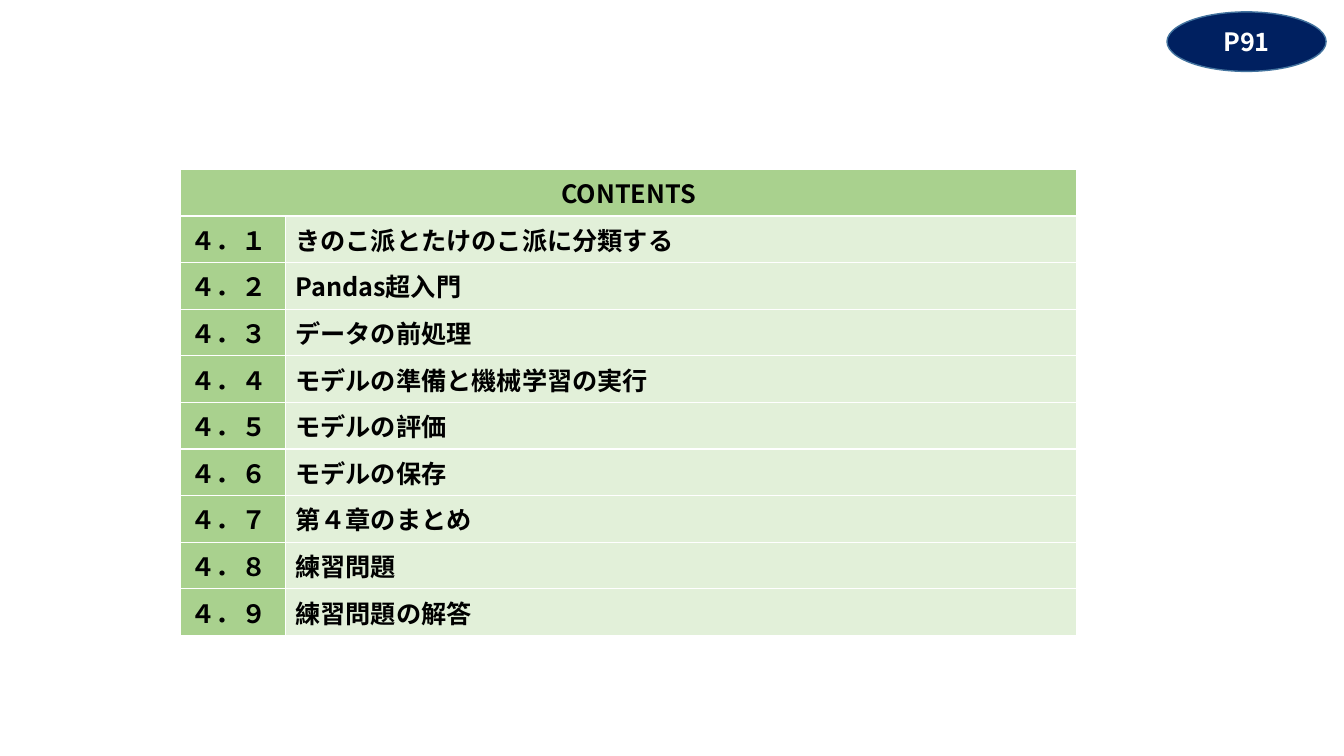
import pptx
import pptx.util
import pptx.dml.color
import pptx.enum.shapes
import pptx.enum.text
import pptx.oxml
import pptx.oxml.ns

Cm = pptx.util.Cm
RGB = pptx.dml.color.RGBColor.from_string
Align = pptx.enum.text.PP_ALIGN

theme = {
    "head": "A9D18E", "body": "E2F0D9", "rule": "FFFFFF",
    "badge": "002060", "edge": "43739E",
    "dark": "000000", "light": "FFFFFF",
    "font": {"name": "Noto Sans CJK JP", "size": pptx.util.Pt(18), "bold": True},
    "line": pptx.util.Pt(1),
}
topics = [
    "きのこ派とたけのこ派に分類する", "Pandas超入門", "データの前処理",
    "モデルの準備と機械学習の実行", "モデルの評価", "モデルの保存",
    "第４章のまとめ", "練習問題", "練習問題の解答",
]
digits = "１２３４５６７８９"


def write(frame, text, color, align):
    para = frame.paragraphs[0]
    para.alignment = align
    run = para.add_run()
    run.text = text
    run.font.color.rgb = RGB(color)
    for key, value in theme["font"].items():
        setattr(run.font, key, value)
    east = pptx.oxml.parse_xml(
        f'<a:ea {pptx.oxml.ns.nsdecls("a")} typeface="{theme["font"]["name"]}"/>')
    run.font._element.append(east)


def paint(cell, color):
    cell.fill.solid()
    cell.fill.fore_color.rgb = RGB(color)
    props = cell._tc.get_or_add_tcPr()
    for spot, side in enumerate("LRTB"):
        props.insert(spot, pptx.oxml.parse_xml(
            f'<a:ln{side} {pptx.oxml.ns.nsdecls("a")} w="{theme["line"]}">'
            f'<a:solidFill><a:srgbClr val="{theme["rule"]}"/></a:solidFill></a:ln{side}>'))


deck = pptx.Presentation()
deck.slide_width, deck.slide_height = Cm(33.87), Cm(19.05)
slide = deck.slides.add_slide(deck.slide_layouts[6])

# Contents table
widths = [Cm(2.64), Cm(19.94)]
count = len(topics) + 1
high = Cm(1.03)
table = slide.shapes.add_table(
    count, 2, Cm(4.55), Cm(4.27), sum(widths), high * count).table
for key, value in {"first_row": False, "horz_banding": False}.items():
    setattr(table, key, value)
for column, width in zip(table.columns, widths):
    column.width = width
for row in table.rows:
    row.height = high

# Heading across both columns
for cell in table.rows[0].cells:
    paint(cell, theme["head"])
title = table.cell(0, 0)
title.merge(table.cell(0, 1))
write(title.text_frame, "CONTENTS", theme["dark"], Align.CENTER)

# Numbered topics
for row, (digit, topic) in enumerate(zip(digits, topics), 1):
    for col, (text, color) in enumerate([("４．" + digit, "head"), (topic, "body")]):
        cell = table.cell(row, col)
        paint(cell, theme[color])
        write(cell.text_frame, text, theme["dark"], Align.LEFT)

# Page badge
badge = slide.shapes.add_shape(
    pptx.enum.shapes.MSO_SHAPE.OVAL, Cm(29.41), Cm(0.3), Cm(4.01), Cm(1.5))
badge.shadow.inherit = False
badge.fill.solid()
badge.fill.fore_color.rgb = RGB(theme["badge"])
badge.line.color.rgb = RGB(theme["edge"])
badge.line.width = theme["line"]
badge.text_frame.vertical_anchor = pptx.enum.text.MSO_ANCHOR.MIDDLE
write(badge.text_frame, "P91", theme["light"], Align.CENTER)

deck.save("out.pptx")
